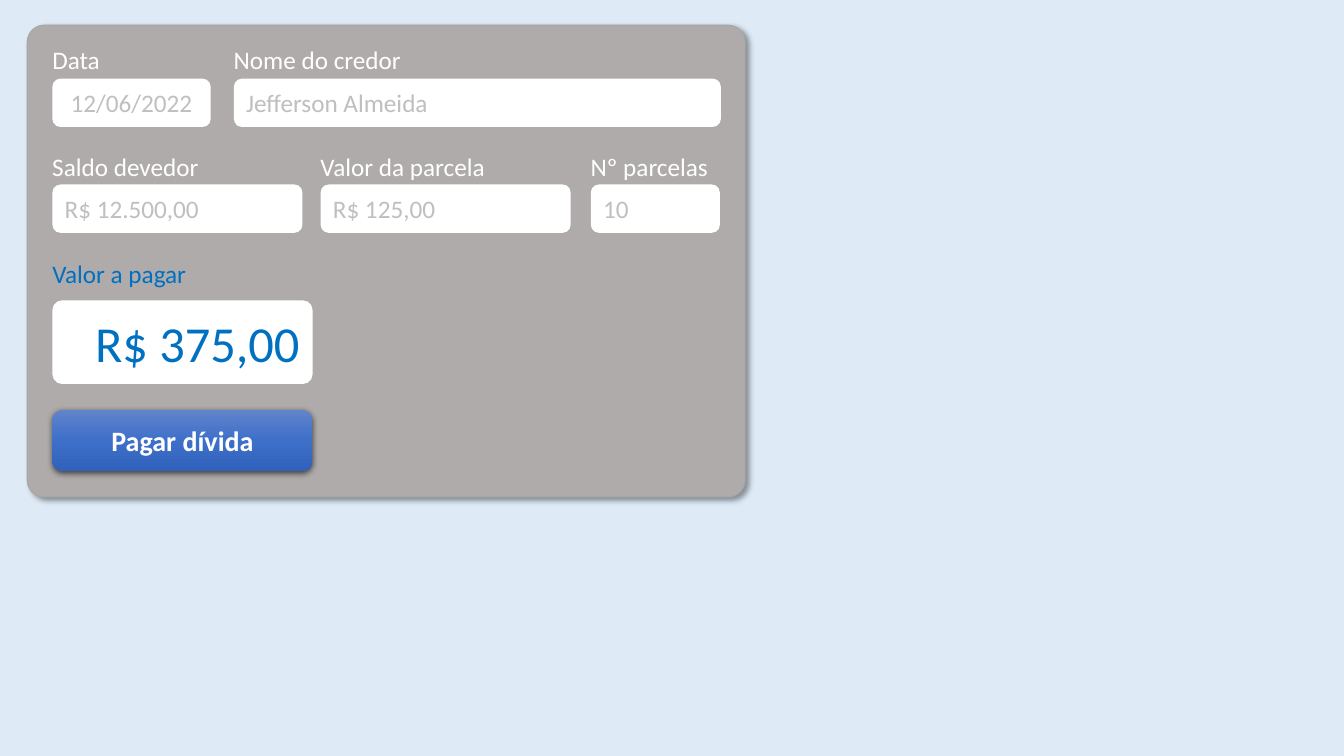
from copy import deepcopy
from lxml import etree
from pptx import Presentation
from pptx.dml.color import RGBColor as Rgb
from pptx.enum.shapes import MSO_SHAPE as Shape
from pptx.enum.text import MSO_ANCHOR as Anchor, MSO_AUTO_SIZE as Auto, PP_ALIGN as Align
from pptx.oxml.ns import qn
from pptx.util import Inches, Pt

HUES = {"page": "DEEBF7", "card": "AFABAB", "edge": "A6A6A6", "white": "FFFFFF",
        "hint": "BFBFBF", "blue": "0070C0", "shade": "000000"}
GLOW = [(0, "6183CB"), (0.5, "3E70CA"), (1, "3062BB")]
LEFT, INSET = 0.52, 0.1
CARD = (0.27, 0.25, 7.12, 4.68)
BUTTON = ("Pagar dívida", (LEFT, 4.07, 2.58, 0.6))

BIG = dict(size=36, hue="blue", align=Align.RIGHT)
MID = dict(align=Align.CENTER)
# Rows: label top, field top, field height, label hue, corner, fields
# Field: label, label width, value, left, width, value format
ROWS = [
    (0.39, 0.78, 0.48, "white", None, [
        ("Data", 0.68, "12/06/2022", LEFT, 1.57, MID),
        ("Nome do credor", 2.26, "Jefferson Almeida", 2.32, 4.83, {})]),
    (1.45, 1.83, 0.48, "white", None, [
        ("Saldo devedor", 1.67, "R$ 12.500,00", LEFT, 2.48, {}),
        ("Valor da parcela", 1.85, "R$ 125,00", 3.18, 2.48, {}),
        ("Nº parcelas", 1.38, "10", 5.86, 1.28, {})]),
    (2.51, 2.98, 0.83, "blue", 0.115, [
        ("Valor a pagar", 1.55, "R$ 375,00", LEFT, 2.58, BIG)]),
]

deck = Presentation()
deck.slide_width, deck.slide_height = Inches(13.33), Inches(7.5)
slide = deck.slides.add_slide(deck.slide_layouts[6])
slide.background.fill.solid()
slide.background.fill.fore_color.rgb = Rgb.from_string(HUES["page"])


def write(shape, text, size=18, hue="hint", align=Align.LEFT, bold=False):
    para = shape.text_frame.paragraphs[0]
    para.alignment = align
    run = para.add_run()
    run.text = text
    font = run.font
    font.name, font.size, font.bold = "Calibri", Pt(size), bold
    font.color.rgb = Rgb.from_string(HUES[hue])


def panel(area, hue="white", corner=None):
    box = slide.shapes.add_shape(Shape.ROUNDED_RECTANGLE, *map(Inches, area))
    box.shadow.inherit = False
    box.fill.solid()
    box.fill.fore_color.rgb = Rgb.from_string(HUES[hue])
    box.line.fill.background()
    box.text_frame.vertical_anchor = Anchor.MIDDLE
    box.text_frame.word_wrap = True
    if corner:
        box.adjustments[0] = corner
    return box


def shade(box, alpha, blur, dist, angle):
    root = box.element.spPr.find(qn("a:effectLst"))
    drop = etree.SubElement(root, qn("a:outerShdw"), blurRad=str(Pt(blur)),
                            dist=str(Pt(dist)), dir=str(angle * 60000), rotWithShape="0")
    tint = etree.SubElement(drop, qn("a:srgbClr"), val=HUES["shade"])
    etree.SubElement(tint, qn("a:alpha"), val=str(alpha * 1000))


# Card
card = panel(CARD, "card", 0.036)
card.line.color.rgb = Rgb.from_string(HUES["edge"])
card.line.width = Pt(0.75)
shade(card, 40, 4, 3, 45)

# Labels and fields
for label_y, y, high, hue, corner, fields in ROWS:
    for label, span, value, x, wide, form in fields:
        write(panel((x, y, wide, high), corner=corner), value, **form)
        tag = slide.shapes.add_textbox(*map(Inches, (x - INSET, label_y, span, 0.4)))
        tag.text_frame.word_wrap = False
        tag.text_frame.auto_size = Auto.SHAPE_TO_FIT_TEXT
        write(tag, label, hue=hue)

# Button with a three-stop gradient
text, area = BUTTON
button = panel(area)
button.fill.gradient()
button.fill.gradient_angle = 270
stops = button.element.spPr.find(qn("a:gradFill")).find(qn("a:gsLst"))
stops.append(deepcopy(stops[0]))
for stop, (place, tone) in zip(button.fill.gradient_stops, GLOW):
    stop.position = place
    stop.color.rgb = Rgb.from_string(tone)
shade(button, 63, 4.5, 1.5, 90)
write(button, text, size=20, hue="white", align=Align.CENTER, bold=True)

deck.save("out.pptx")
